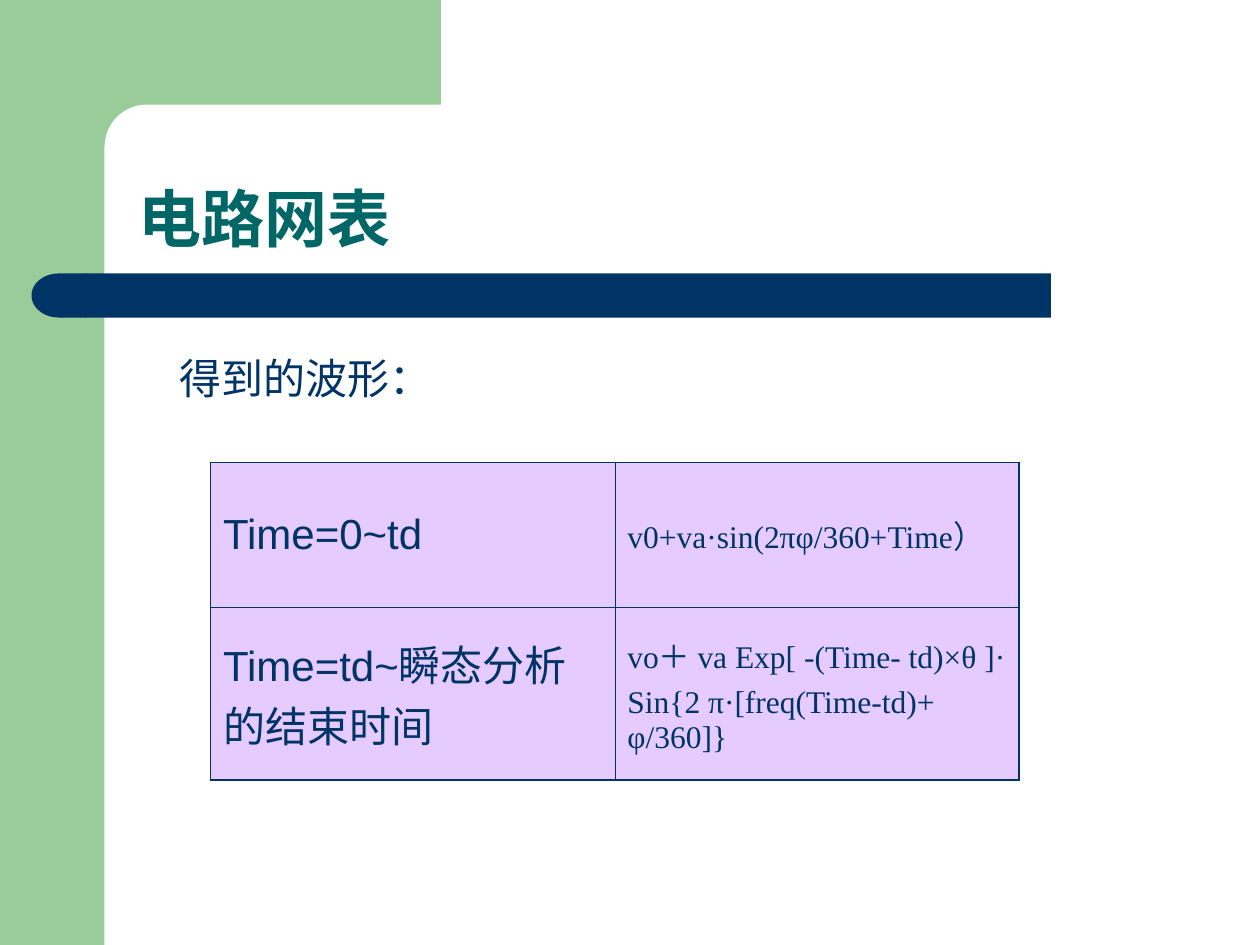
from dataclasses import dataclass
from typing import Optional

from lxml.etree import SubElement
from pptx import Presentation
from pptx.dml.color import RGBColor
from pptx.enum.shapes import MSO_SHAPE as Preset
from pptx.enum.text import MSO_ANCHOR as Anchor
from pptx.oxml.ns import qn
from pptx.util import Inches, Pt


@dataclass(frozen=True)
class Theme:
    green: str = "99CC99"
    white: str = "FFFFFF"
    navy: str = "003366"
    teal: str = "006666"
    lilac: str = "CC99FF"
    lilac_alpha: int = 50
    latin: str = "Arial"
    serif: str = "Times New Roman"
    cjk: str = "Noto Sans CJK SC"
    title_size: int = 36
    body_size: int = 24
    formula_size: int = 18
    outer_line: float = 1.08
    inner_line: float = 0.45


@dataclass(frozen=True)
class Block:
    preset: Preset
    left: float
    top: float
    width: float
    height: float
    color: str
    corner: Optional[float] = None
    rotation: int = 0


@dataclass(frozen=True)
class Style:
    font: str
    size: int
    color: str
    bold: bool = False
    paragraph: tuple = ()


THEME = Theme()
TITLE = Style(THEME.cjk, THEME.title_size, THEME.teal, True, (("line_spacing", 0.9),))
LEAD = Style(THEME.serif, THEME.body_size, THEME.navy, paragraph=(("space_before", Pt(15)),))
PERIOD = Style(THEME.latin, THEME.body_size, THEME.navy, paragraph=(("space_before", Pt(6)),))
FORMULA = Style(THEME.serif, THEME.formula_size, THEME.navy, paragraph=(("space_before", Pt(4.5)),))

BACKDROP = (
    Block(Preset.RECTANGLE, 0, 0, 0.83, 7.5, THEME.green),
    Block(Preset.RECTANGLE, 0.75, 0, 2.75, 1.17, THEME.green),
    Block(Preset.ROUNDED_RECTANGLE, 0.83, 0.83, 5.58, 0.67, THEME.white, corner=0.5),
    Block(Preset.ROUNDED_RECTANGLE, 0.67, 2.17, 7.67, 0.35, THEME.navy, corner=0),
    Block(Preset.FLOWCHART_DELAY, 0.25, 2.17, 0.43, 0.35, THEME.navy, rotation=180),
)

WAVEFORMS = (
    (("Time=0~td",), ("v0+va·sin(2πφ/360+Time）",)),
    (
        ("Time=td~瞬态分析的结束时间",),
        ("vo＋ va Exp[ -(Time- td)×θ ]·", "Sin{2 π·[freq(Time-td)+ φ/360]}"),
    ),
)
ROW_HEIGHTS = (1.15, 1.37)
COLUMN_WIDTH = 3.21


def set_values(target, values: dict) -> None:
    """Set each named format value on the target."""
    for name, value in values.items():
        setattr(target, name, value)


def draw_block(slide, block: Block) -> None:
    """Draw one plain filled part of the backdrop."""
    place = map(Inches, (block.left, block.top, block.width, block.height))
    part = slide.shapes.add_shape(block.preset, *place)
    part.shadow.inherit = False
    part.fill.solid()
    part.fill.fore_color.rgb = RGBColor.from_string(block.color)
    part.line.fill.background()
    part.rotation = block.rotation
    if block.corner is not None:
        part.adjustments[0] = block.corner


def write_lines(frame, lines: tuple, style: Style) -> None:
    """Write each line as a paragraph in the given style."""
    frame.word_wrap = True
    for index, line in enumerate(lines):
        paragraph = frame.add_paragraph() if index else frame.paragraphs[0]
        set_values(paragraph, dict(style.paragraph))
        run = paragraph.add_run()
        run.text = line
        set_values(run.font, {"name": style.font, "size": Pt(style.size), "bold": style.bold})
        run.font.color.rgb = RGBColor.from_string(style.color)
        SubElement(run.font._element, qn("a:ea"), typeface=THEME.cjk)


def draw_text(slide, place: tuple, line: str, style: Style, anchor: Anchor) -> None:
    """Draw a single-line text box."""
    frame = slide.shapes.add_textbox(*map(Inches, place)).text_frame
    frame.vertical_anchor = anchor
    write_lines(frame, (line,), style)


def format_cell(cell, edges: dict) -> None:
    """Give a cell its translucent fill and its border widths."""
    cell.vertical_anchor = Anchor.MIDDLE
    cell.fill.solid()
    cell.fill.fore_color.rgb = RGBColor.from_string(THEME.lilac)
    properties = cell._tc.get_or_add_tcPr()
    tint = properties.find(".//" + qn("a:srgbClr"))
    SubElement(tint, qn("a:alpha"), val=str(THEME.lilac_alpha * 1000))
    for index, (side, is_outer) in enumerate(edges.items()):
        width = Pt(THEME.outer_line if is_outer else THEME.inner_line)
        border = SubElement(properties, qn(f"a:ln{side}"), w=str(width))
        SubElement(SubElement(border, qn("a:solidFill")), qn("a:srgbClr"), val=THEME.navy)
        properties.insert(index, border)


def draw_waveforms(slide) -> None:
    """Draw the table of waveform formulas by time period."""
    size = (COLUMN_WIDTH * 2, sum(ROW_HEIGHTS))
    table = slide.shapes.add_table(2, 2, *map(Inches, (1.67, 3.67, *size))).table
    set_values(table, {"first_row": False, "horz_banding": False})
    for column in table.columns:
        column.width = Inches(COLUMN_WIDTH)
    for row, (height, entries) in enumerate(zip(ROW_HEIGHTS, WAVEFORMS)):
        table.rows[row].height = Inches(height)
        for column, (lines, style) in enumerate(zip(entries, (PERIOD, FORMULA))):
            cell = table.cell(row, column)
            write_lines(cell.text_frame, lines, style)
            format_cell(cell, {"L": column == 0, "R": column == 1, "T": row == 0, "B": row == 1})


def main() -> None:
    """Build the slide and save it."""
    deck = Presentation()
    set_values(deck, {"slide_width": Inches(10), "slide_height": Inches(7.5)})
    slide = deck.slides.add_slide(deck.slide_layouts[6])
    for block in BACKDROP:
        draw_block(slide, block)
    draw_text(slide, (1, 0.83, 8.75, 1.25), "电路网表", TITLE, Anchor.BOTTOM)
    draw_waveforms(slide)
    draw_text(slide, (1.33, 2.75, 6.83, 0.5), "得到的波形：", LEAD, Anchor.TOP)
    deck.save("out.pptx")


if __name__ == "__main__":
    main()
